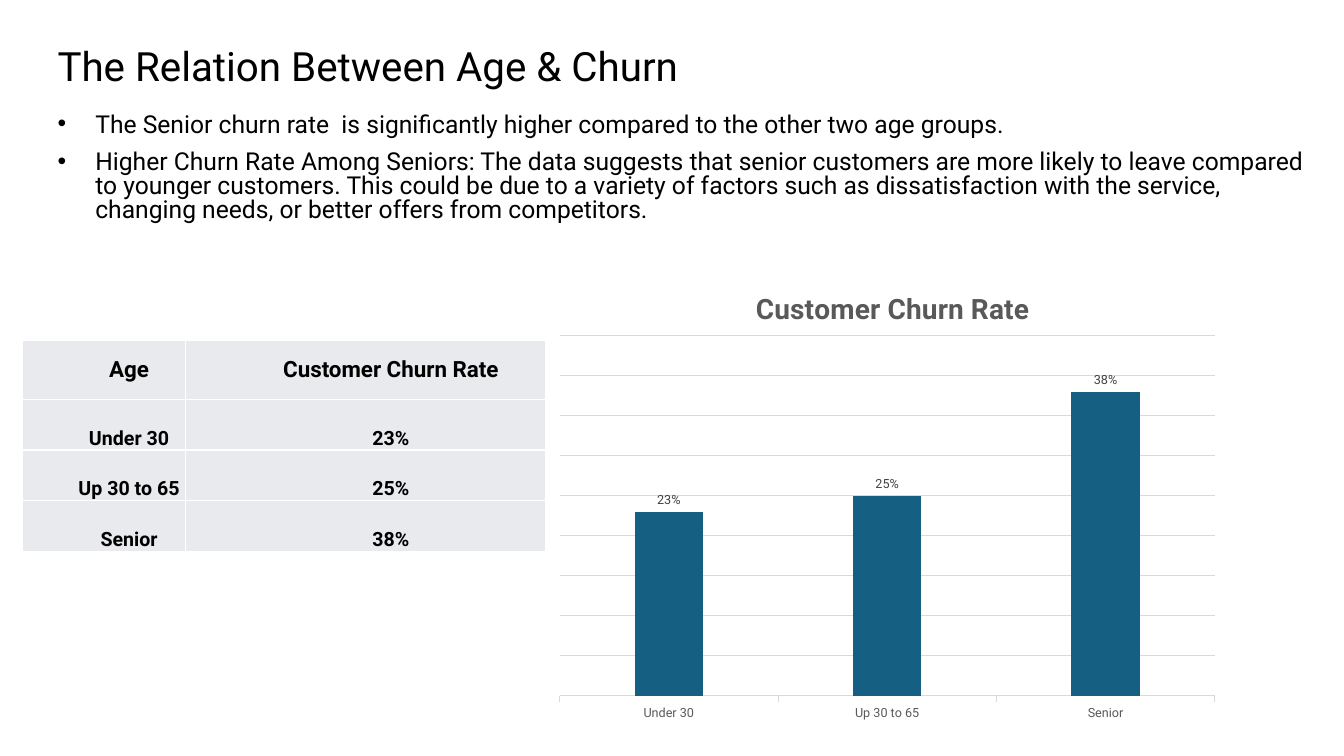
import pptx
import pptx.chart.data
import pptx.dml.color
import pptx.enum.chart
import pptx.enum.text
import pptx.oxml
import pptx.oxml.ns
import pptx.util

Pt = pptx.util.Pt
qn = pptx.oxml.ns.qn
PP_ALIGN = pptx.enum.text.PP_ALIGN
ANCHOR = pptx.enum.text.MSO_ANCHOR
FONT = "Roboto"
AGES = ["Under 30", "Up 30 to 65", "Senior"]
RATES = [0.23, 0.25, 0.38]
RATE_TITLE = "Customer Churn Rate"
POINTS = [
    "The Senior churn rate  is significantly higher compared to the other two age groups.",
    "Higher Churn Rate Among Seniors: The data suggests that senior customers are more likely "
    "to leave compared to younger customers. This could be due to a variety of factors such as "
    "dissatisfaction with the service, changing needs, or better offers from competitors.",
]


def rgb(value):
    return pptx.dml.color.RGBColor.from_string(value)


def set_font(font, size, color="000000", bold=False):
    font.name = FONT
    font.size = Pt(size)
    font.bold = bold
    font.color.rgb = rgb(color)


def add_run(p, text, size, color="000000", bold=False):
    r = p.add_run()
    r.text = text
    set_font(r.font, size, color, bold)


def set_indent(p, left, first=0):
    pPr = p._p.get_or_add_pPr()
    pPr.set("marL", str(Pt(left)))
    pPr.set("indent", str(Pt(first)))
    return pPr


def add_text(s, box, lines, size, spacing, anchor=ANCHOR.TOP, bullets=False):
    tf = s.shapes.add_textbox(*map(Pt, box)).text_frame
    tf.word_wrap = True
    tf.vertical_anchor = anchor
    for i, line in enumerate(lines):
        p = tf.add_paragraph() if i else tf.paragraphs[0]
        p.line_spacing = spacing
        if bullets:
            p.space_before = Pt(10)
            pPr = set_indent(p, 27, -27)
            for tag, key, value in (("a:buFont", "typeface", "Arial"), ("a:buChar", "char", "•")):
                pPr.append(pptx.oxml.parse_xml(
                    f'<{tag} {pptx.oxml.ns.nsdecls("a")} {key}="{value}"/>'))
        add_run(p, line, size)


def set_borders(cell, color, width):
    tcPr = cell._tc.get_or_add_tcPr()
    for i, side in enumerate("LRTB"):
        tcPr.insert(i, pptx.oxml.parse_xml(
            f'<a:ln{side} {pptx.oxml.ns.nsdecls("a")} w="{Pt(width)}">'
            f'<a:solidFill><a:srgbClr val="{color}"/></a:solidFill></a:ln{side}>'))


def add_table(s, box, rows, widths, heights):
    table = s.shapes.add_table(len(rows), len(widths), *map(Pt, box)).table
    table.first_row = table.horz_banding = False
    for column, width in zip(table.columns, widths):
        column.width = Pt(width)
    for i, (row, height) in enumerate(zip(rows, heights)):
        table.rows[i].height = Pt(height)
        for j, text in enumerate(row):
            cell = table.cell(i, j)
            cell.margin_left = cell.margin_right = cell.margin_top = cell.margin_bottom = 0
            cell.vertical_anchor = ANCHOR.BOTTOM if i else ANCHOR.MIDDLE
            cell.fill.solid()
            cell.fill.fore_color.rgb = rgb("E8EAED")
            set_borders(cell, "FFFFFF", 1)
            p = cell.text_frame.paragraphs[0]
            p.alignment = PP_ALIGN.CENTER
            set_indent(p, 36)
            add_run(p, text, 14 if i else 16, bold=True)


def set_layout(parent, index, target="", **sizes):
    for old in parent.findall(qn("c:layout")):
        parent.remove(old)
    modes = "".join(f'<c:{k}Mode val="edge"/>' for k in "xy")
    values = "".join(f'<c:{k} val="{v}"/>' for k, v in sizes.items())
    parent.insert(index, pptx.oxml.parse_xml(
        f'<c:layout {pptx.oxml.ns.nsdecls("c")}><c:manualLayout>'
        f'{target}{modes}{values}</c:manualLayout></c:layout>'))


def set_line(line, color, width):
    line.color.rgb = rgb(color)
    line.width = Pt(width)


def add_column_chart(s, box, title, cats, values):
    data = pptx.chart.data.CategoryChartData(number_format="0%")
    data.categories = cats
    data.add_series("Series 1", values)
    kind = pptx.enum.chart.XL_CHART_TYPE.COLUMN_CLUSTERED
    chart = s.shapes.add_chart(kind, *map(Pt, box), data).chart
    set_font(chart.font, 10)
    chart.has_legend = False
    chart.has_title = True
    add_run(chart.chart_title.text_frame.paragraphs[0], title, 20, "595959", True)
    chart.chart_title.include_in_layout = False

    cat_axis, val_axis = chart.category_axis, chart.value_axis
    set_font(cat_axis.tick_labels.font, 9, "595959")
    set_line(cat_axis.format.line, "D9D9D9", 0.75)
    cat_axis.major_tick_mark = pptx.enum.chart.XL_TICK_MARK.OUTSIDE
    val_axis.visible = False
    val_axis.minimum_scale, val_axis.maximum_scale, val_axis.major_unit = 0, 0.45, 0.05
    set_line(val_axis.major_gridlines.format.line, "D9D9D9", 0.75)

    plot = chart.plots[0]
    plot.gap_width, plot.overlap = 219, -27
    plot.vary_by_categories = False
    fill = plot.series[0].format.fill
    fill.solid()
    fill.fore_color.rgb = rgb("156082")
    plot.has_data_labels = True
    labels = plot.data_labels
    labels.show_value = True
    labels.number_format = "0%"
    labels.number_format_is_linked = False
    labels.position = pptx.enum.chart.XL_LABEL_POSITION.OUTSIDE_END
    set_font(labels.font, 9, "404040")

    area = chart._chartSpace.chart
    set_layout(area.find(qn("c:title")), 1, x=0.3, y=0.05)
    set_layout(area.plotArea, 0, '<c:layoutTarget val="inner"/>', x=0.02, y=0.16, w=0.96, h=0.77)


def main():
    prs = pptx.Presentation()
    prs.slide_width, prs.slide_height = Pt(960), Pt(540)
    s = prs.slides.add_slide(prs.slide_layouts[6])
    add_text(s, (34, 36, 614, 32), ["The Relation Between Age & Churn"], 28.8, 0.9, ANCHOR.BOTTOM)
    rows = [("Age", RATE_TITLE)] + [(age, f"{rate:.0%}") for age, rate in zip(AGES, RATES)]
    add_table(s, (16, 243.5, 374, 150.5), rows, (116.5, 257.5), (41.6, 36.3, 36.3, 36.3))
    add_text(s, (34, 78, 907, 90), POINTS, 17.6, 0.8, bullets=True)
    add_column_chart(s, (390, 186.5, 487.5, 334), RATE_TITLE, AGES, RATES)
    prs.save("out.pptx")


if __name__ == "__main__":
    main()
